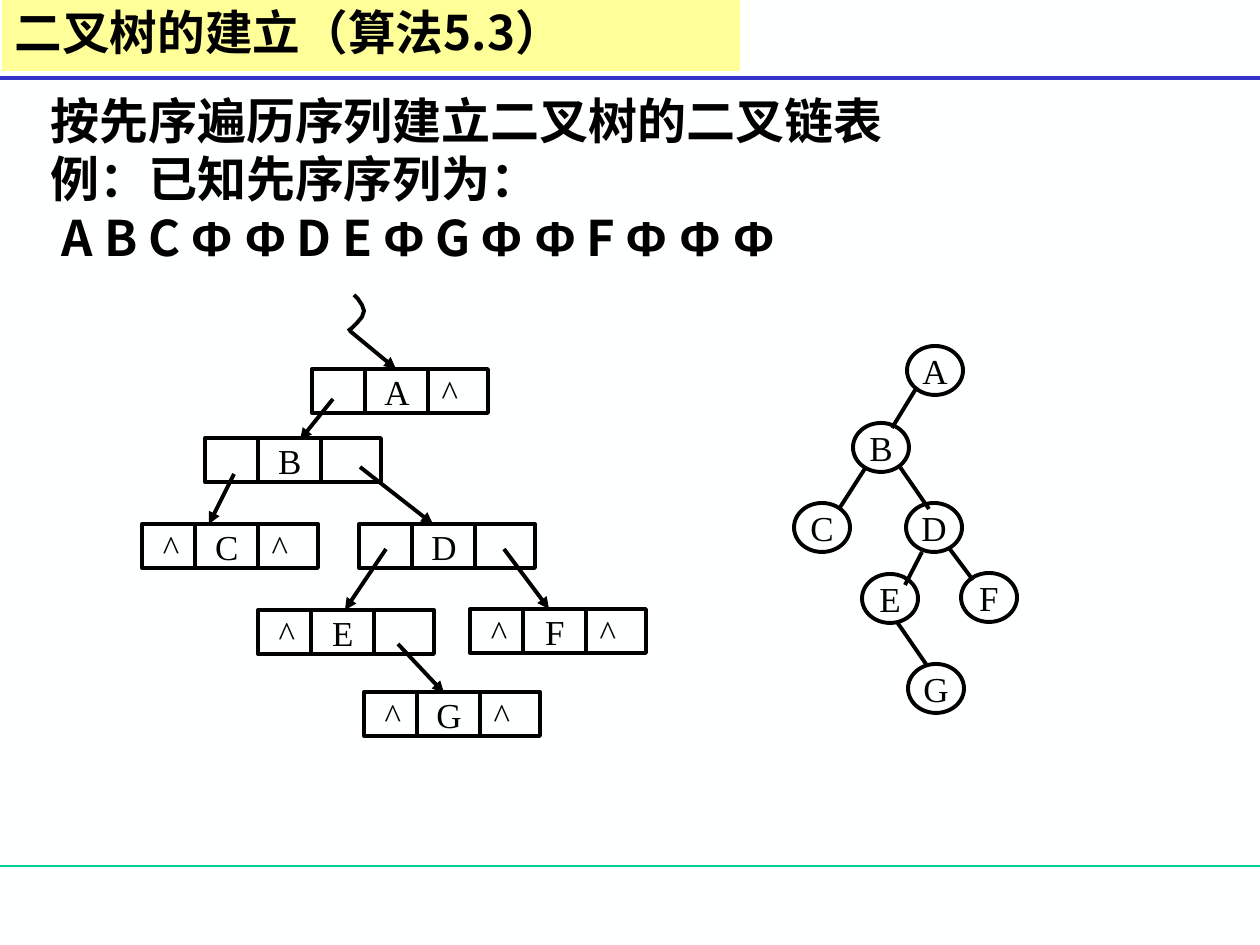
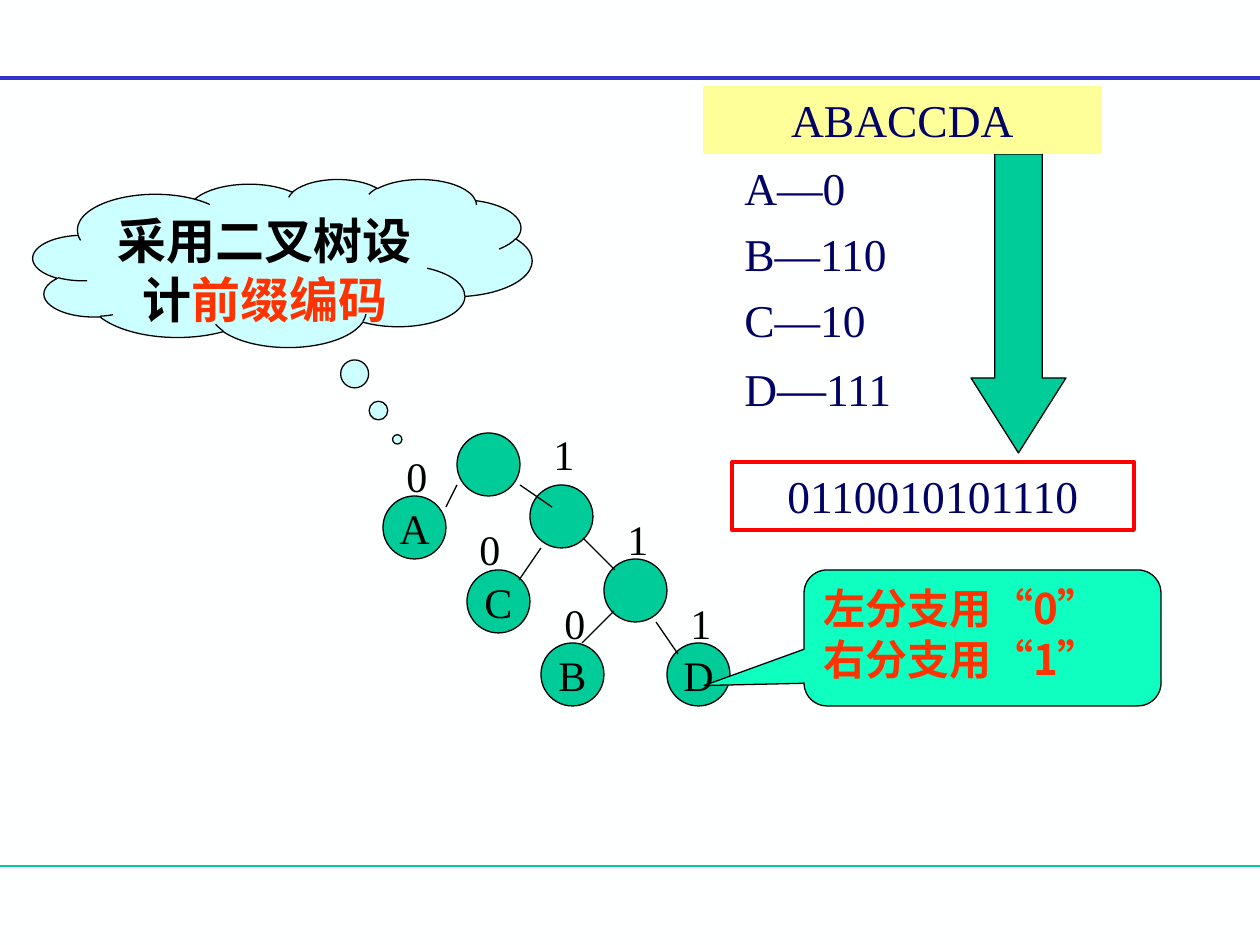
from lxml.etree import SubElement
from pptx import Presentation
from pptx.dml.color import RGBColor
from pptx.enum.shapes import MSO_CONNECTOR as LINK, MSO_SHAPE as SHAPE
from pptx.enum.text import MSO_ANCHOR as ANCHOR, PP_ALIGN as ALIGN
from pptx.oxml.ns import qn
from pptx.util import Pt

PX = 914400 / 126
SLIDE_W, SLIDE_H = 1260, 945
PAPER, BLACK, NAVY, ORANGE, RED = "FEFFFF", "000000", "000066", "FF3300", "FF0000"
GREEN, BLUE, YELLOW, PALE_CYAN, MINT = "00CC99", "3333CC", "FFFF99", "CCFFFF", "0FFFC0"
SERIF, SANS, GREEK = "Times New Roman", "Noto Sans CJK SC", "Arial"
THIN, THICK = 0.75, 2.25

LETTER = {"name": SERIF, "size": 20, "color": BLACK}
BIG_LETTER = LETTER | {"size": 24}
CODE = {"name": SERIF, "size": 26, "color": NAVY}
HEADING = {"name": SANS, "size": 27.2, "bold": True, "color": BLACK}
BODY = HEADING | {"size": 28}
HINT = HEADING | {"size": 24, "color": ORANGE}

RECORD_W, RECORD_H = 176, 44
DIVIDERS = (53, 116)
CELL_TABS = (29, 85, 138)


def emu(px):
    """Turn px into EMU."""
    return round(px * PX)


def rgb(value):
    """Turn a hex string into a colour."""
    return RGBColor.from_string(value)


def set_values(target, values):
    """Set each attribute named in a dict."""
    for name, value in values.items():
        setattr(target, name, value)


def add_run(paragraph, text, style):
    """Add one run in the given text style."""
    run = paragraph.add_run()
    run.text = text
    values = {key: value for key, value in style.items() if key != "color"}
    set_values(run.font, values | {"size": Pt(style["size"])})
    run.font.color.rgb = rgb(style["color"])
    SubElement(run.font._element, qn("a:ea"), typeface=SANS)


def write(frame, paragraphs, style, layout=None, frame_values=None):
    """Fill a frame with paragraphs of (text, style changes) runs."""
    set_values(frame, {"word_wrap": True, "vertical_anchor": ANCHOR.TOP} | (frame_values or {}))
    for index, runs in enumerate(paragraphs):
        paragraph = frame.add_paragraph() if index else frame.paragraphs[0]
        set_values(paragraph, {"alignment": ALIGN.LEFT} | (layout or {}))
        if index == 0:
            paragraph.space_before = Pt(0)
        for text, changes in runs:
            if text == "\n":
                paragraph.add_line_break()
            else:
                add_run(paragraph, text, style | changes)


def plain(*lines):
    """Make one single-run paragraph from each line."""
    return [[(line, {})] for line in lines]


def paint(shape, fill=None, line=None, width=THIN):
    """Set the fill and outline of a shape and drop its shadow."""
    shape.shadow.inherit = False
    if fill:
        shape.fill.solid()
        shape.fill.fore_color.rgb = rgb(fill)
    else:
        shape.fill.background()
    if line:
        shape.line.color.rgb = rgb(line)
        shape.line.width = Pt(width)
    else:
        shape.line.fill.background()


def add_box(slide, kind, bounds, adjustments=(), **look):
    """Add a painted preset shape."""
    box = slide.shapes.add_shape(kind, *map(emu, bounds))
    for index, value in enumerate(adjustments):
        box.adjustments[index] = value
    paint(box, **look)
    return box


def add_label(slide, bounds, paragraphs, style, layout=None):
    """Add a free-standing text box."""
    label = slide.shapes.add_textbox(*map(emu, bounds))
    write(label.text_frame, paragraphs, style, layout)


def add_line(slide, ends, color=BLACK, width=THIN, arrow=False):
    """Add a straight line, with an arrowhead at its end on request."""
    line = slide.shapes.add_connector(LINK.STRAIGHT, *map(emu, ends))
    line.line.color.rgb = rgb(color)
    line.line.width = Pt(width)
    if arrow:
        SubElement(line.line._get_or_add_ln(), qn("a:tailEnd"), type="triangle")
    SubElement(line._element.spPr, qn("a:effectLst"))


def add_node(slide, bounds, letter, style, **look):
    """Add a round tree node with its letter."""
    node = add_box(slide, SHAPE.OVAL, bounds, line=BLACK, **look)
    if letter:
        write(node.text_frame, plain(letter), style, {"alignment": ALIGN.CENTER},
              {"word_wrap": False, "vertical_anchor": ANCHOR.MIDDLE})


def add_record(slide, left, top, cells):
    """Add a linked-list record of left pointer, data and right pointer."""
    record = add_box(slide, SHAPE.RECTANGLE, (left, top, RECORD_W, RECORD_H),
                     line=BLACK, width=THICK)
    frame = record.text_frame
    stops = SubElement(frame.paragraphs[0]._p.get_or_add_pPr(), qn("a:tabLst"))
    for stop in CELL_TABS:
        SubElement(stops, qn("a:tab"), pos=str(emu(stop)), algn="ctr")
    write(frame, plain("".join("\t" + cell for cell in cells)), LETTER, None,
          {"vertical_anchor": ANCHOR.MIDDLE, "margin_left": 0, "margin_right": 0})
    for offset in DIVIDERS:
        x = left + offset
        add_line(slide, (x, top, x, top + RECORD_H), width=THICK)


def add_root_hook(slide):
    """Add the curved start of the root pointer."""
    start, *rest = [(354, 295), (358, 299), (362, 305), (364, 311),
                    (362, 317), (357, 323), (352, 328), (348, 331)]
    builder = slide.shapes.build_freeform(*start, scale=PX)
    builder.add_line_segments(rest, close=False)
    paint(builder.convert_to_shape(), line=BLACK, width=THICK)


def new_slide(deck):
    """Add a blank slide with the shared background and rules."""
    slide = deck.slides.add_slide(deck.slide_layouts[6])
    slide.background.fill.solid()
    slide.background.fill.fore_color.rgb = rgb(PAPER)
    for y, color, width in ((866, GREEN, THIN), (78, BLUE, THICK)):
        add_line(slide, (0, y, SLIDE_W, y), color, width)
    return slide


def build_creation_slide(deck):
    """Build the slide on creating a binary tree from its preorder."""
    slide = new_slide(deck)
    nodes = {"A": (907, 346), "B": (853, 423), "C": (794, 503), "D": (906, 503),
             "E": (862, 574), "F": (961, 573), "G": (908, 664)}
    for letter, corner in nodes.items():
        add_node(slide, (*corner, 56, 49), letter, LETTER, width=THICK)
    branches = [(917, 387, 892, 428), (866, 467, 839, 509), (900, 467, 929, 509),
                (922, 552, 905, 585), (949, 548, 973, 580), (897, 622, 926, 664)]
    for ends in branches:
        add_line(slide, ends, width=THICK)

    records = [(312, 369, ("", "A", "^")), (205, 438, ("", "B")),
               (142, 524, ("^", "C", "^")), (359, 524, ("", "D")),
               (258, 610, ("^", "E")), (470, 609, ("^", "F", "^")),
               (364, 692, ("^", "G", "^"))]
    for record in records:
        add_record(slide, *record)
    pointers = [(333, 399, 300, 440), (234, 474, 209, 524), (360, 467, 433, 524),
                (386, 549, 345, 610), (504, 549, 549, 609), (398, 644, 444, 693),
                (350, 331, 396, 369)]
    for ends in pointers:
        add_line(slide, ends, width=THICK, arrow=True)
    add_root_hook(slide)

    greek = {"name": GREEK}
    sequence = [("按先序遍历序列建立二叉树的二叉链表", {}), ("\n", {}),
                ("例：已知先序序列为：", {}), ("\n", {}),
                (" A B C ", {}), ("Φ Φ", greek), (" D E ", {}), ("Φ", greek),
                (" G ", {}), ("Φ Φ", greek), (" F ", {}), ("Φ Φ Φ", greek)]
    add_label(slide, (38, 84, 1188, 189), [sequence], BODY)
    title = add_box(slide, SHAPE.RECTANGLE, (2, 0, 738, 71), fill=YELLOW)
    write(title.text_frame, plain("二叉树的建立（算法5.3）"), HEADING,
          {"line_spacing": 0.9}, {"vertical_anchor": ANCHOR.MIDDLE})


def build_prefix_code_slide(deck):
    """Build the slide on prefix codes read from a binary tree."""
    slide = new_slide(deck)
    nodes = [(457, 433, ""), (530, 485, ""), (604, 559, ""), (383, 496, "A"),
             (467, 570, "C"), (541, 643, "B"), (667, 643, "D")]
    for left, top, letter in nodes:
        add_node(slide, (left, top, 63, 63), letter, BIG_LETTER, fill=GREEN)
    branches = [(457, 485, 446, 507), (520, 485, 552, 507), (541, 548, 519, 580),
                (614, 611, 582, 643), (656, 622, 678, 654), (583, 538, 615, 570)]
    for ends in branches:
        add_line(slide, ends)
    bits = {"0": [(394, 444), (467, 517), (552, 591)],
            "1": [(541, 422), (615, 507), (678, 591)]}
    for bit, corners in bits.items():
        for corner in corners:
            add_label(slide, (*corner, 73, 63), plain(bit), BIG_LETTER)

    centred = {"alignment": ALIGN.CENTER}
    idea = add_box(slide, SHAPE.CLOUD_CALLOUT, (33, 179, 499, 168), (0.23, 1.05),
                   fill=PALE_CYAN, line=BLACK)
    write(idea.text_frame, [[("采用二叉树设计", {}), ("前缀编码", {"color": ORANGE})]],
          BODY | {"name": SERIF}, centred)
    rule = add_box(slide, SHAPE.ROUNDED_RECTANGULAR_CALLOUT, (804, 570, 357, 136),
                   (-0.78, 0.35, 0.17), fill=MINT, line=BLACK)
    write(rule.text_frame, plain("左分支用“0”", "右分支用“1”"), HINT)

    codes = plain("A—0", "B—110", "C—10")
    codes.append([("D", {}), ("—", {"size": 28}), ("111", {})])
    add_label(slide, (732, 154, 192, 488), codes, CODE, {"space_before": Pt(6.5)})
    add_box(slide, SHAPE.DOWN_ARROW, (971, 154, 95, 299), (0.5, 0.79),
            fill=GREEN, line=BLACK)
    encoded = add_box(slide, SHAPE.RECTANGLE, (732, 462, 402, 68), line=RED, width=THICK)
    write(encoded.text_frame, plain("0110010101110"), CODE, centred)
    message = add_box(slide, SHAPE.RECTANGLE, (703, 86, 399, 68), fill=YELLOW)
    write(message.text_frame, plain("ABACCDA"), CODE, centred)


def main():
    """Build and save the deck."""
    deck = Presentation()
    set_values(deck, {"slide_width": emu(SLIDE_W), "slide_height": emu(SLIDE_H)})
    build_creation_slide(deck)
    build_prefix_code_slide(deck)
    deck.save("out.pptx")


if __name__ == "__main__":
    main()
